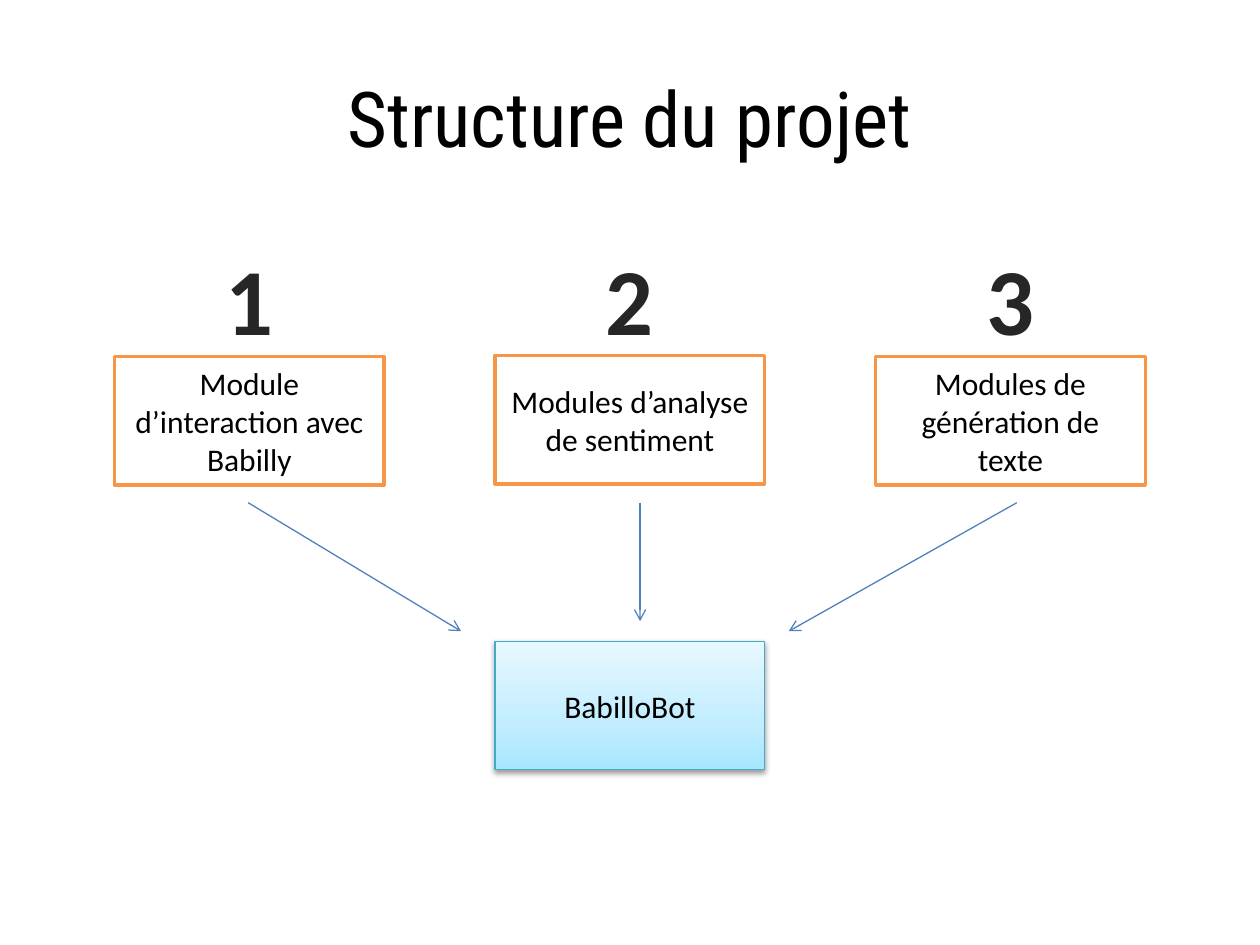
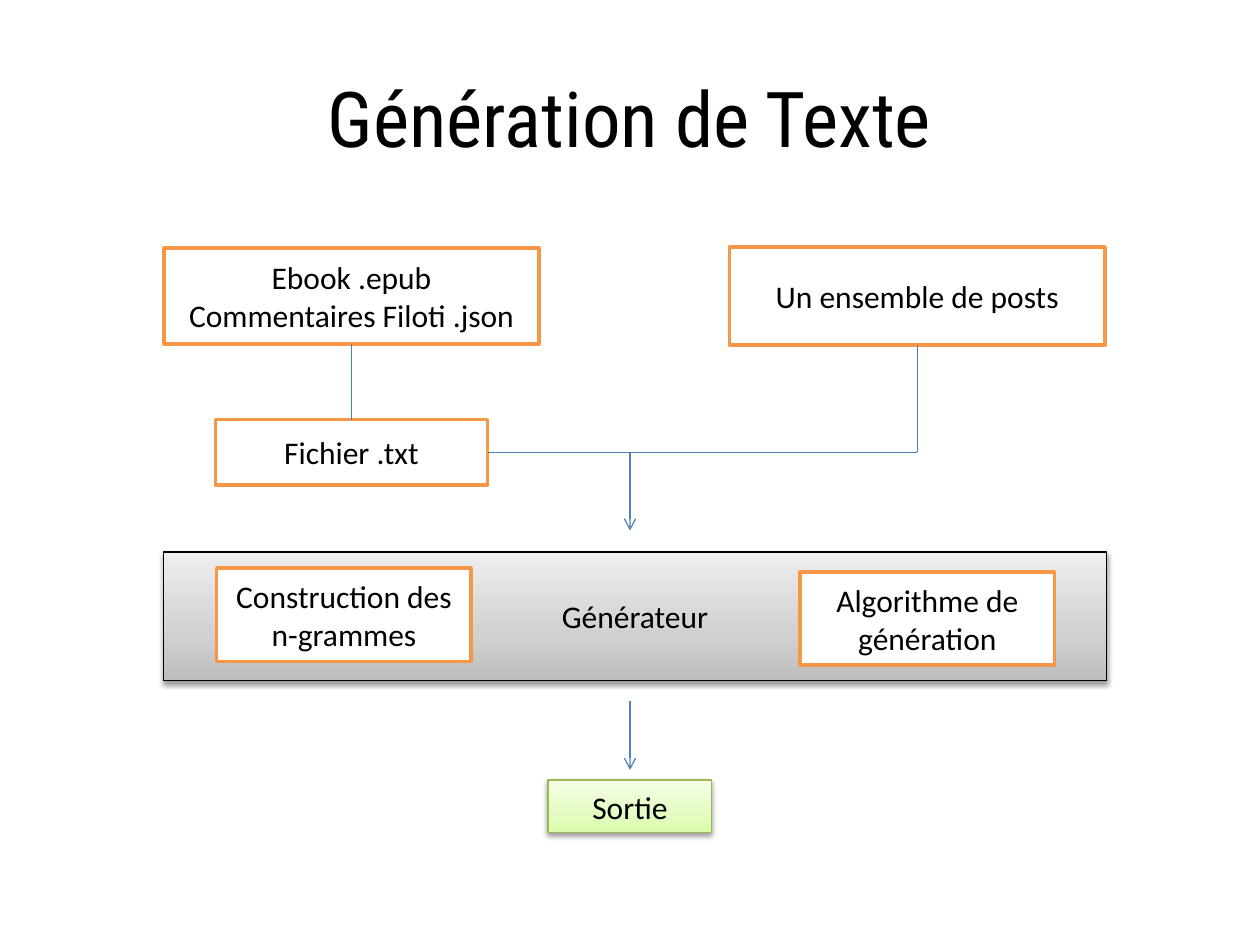
from copy import deepcopy

from lxml.etree import SubElement
from pptx import Presentation
from pptx.dml.color import RGBColor
from pptx.enum.shapes import MSO_CONNECTOR, MSO_SHAPE
from pptx.enum.text import MSO_ANCHOR, MSO_AUTO_SIZE, PP_ALIGN
from pptx.oxml.ns import qn
from pptx.util import Emu, Pt

PX = 9144  # 100 px to the inch
SLIDE_WIDTH, SLIDE_HEIGHT = 1000, 750
CENTER = SLIDE_WIDTH // 2

BLACK = RGBColor(0x00, 0x00, 0x00)
WHITE = RGBColor(0xFF, 0xFF, 0xFF)
DIGIT = RGBColor(0x26, 0x26, 0x26)
ORANGE = RGBColor(0xF7, 0x96, 0x46)
ARROW = RGBColor(0x4F, 0x81, 0xBD)
LINK = RGBColor(0x4B, 0x7E, 0xBC)

# Line colour, then gradient colours from bottom to top
CYAN = (RGBColor(0x46, 0xAA, 0xC5), RGBColor(0xA7, 0xE6, 0xFF),
        RGBColor(0xC1, 0xED, 0xFF), RGBColor(0xE7, 0xF8, 0xFF))
GREY = (BLACK, RGBColor(0xBD, 0xBD, 0xBD),
        RGBColor(0xD1, 0xD1, 0xD1), RGBColor(0xEE, 0xEE, 0xEE))
GREEN = (RGBColor(0x98, 0xB9, 0x55), RGBColor(0xDA, 0xFD, 0xA7),
         RGBColor(0xE4, 0xFC, 0xC2), RGBColor(0xF5, 0xFF, 0xE7))
GRADIENT_POSITIONS = (0, 0.35, 1)

BODY_FONT, TITLE_FONT = "Calibri", "Roboto Condensed"

STRUCTURE_TITLE = "Structure du projet"
MODULES = [  # text, top of the box, start and end of its arrow
    ("Module d’interaction avec Babilly", 283, (197, 399), (366, 501)),
    ("Modules d’analyse de sentiment", 282, (508, 399), (508, 493)),
    ("Modules de génération de texte", 283, (807, 399), (626, 501)),
]
MODULE_WIDTH, MODULE_HEIGHT, MODULE_STEP = 214, 102, 302
BOT = "BabilloBot"

GENERATION_TITLE = "Génération de Texte"
SOURCES = "Ebook .epub\nCommentaires Filoti .json"
MESSAGES = "Un ensemble de posts"
TEXT_FILE = "Fichier .txt"
GENERATOR = "Générateur"
STEPS = [("Construction des n-grammes", 172, 451),
         ("Algorithme de génération", 635, 454)]
OUTPUT = "Sortie"
FLOW_ARROWS = [(359, 421), (556, 611)]


def px(*lengths):
    return [Emu(round(length * PX)) for length in lengths]


def write(shape, text, size=18, font=BODY_FONT, color=BLACK, bold=False,
          anchor=MSO_ANCHOR.MIDDLE, wrap=True):
    frame = shape.text_frame
    frame.word_wrap = wrap
    frame.vertical_anchor = anchor
    frame.text = text
    for paragraph in frame.paragraphs:
        paragraph.alignment = PP_ALIGN.CENTER
        paragraph.font.size = Pt(size)
        paragraph.font.name = font
        paragraph.font.bold = bold
        paragraph.font.color.rgb = color


def add_titled_slide(presentation, title):
    slide = presentation.slides.add_slide(presentation.slide_layouts[6])
    write(slide.shapes.add_textbox(*px(50, 30, 900, 125)), title,
          size=44, font=TITLE_FONT)
    return slide


def add_box(slide, text, left, top, width, height):
    """Add a white box with an orange outline."""
    shape = slide.shapes.add_shape(MSO_SHAPE.RECTANGLE,
                                   *px(left, top, width, height))
    shape.shadow.inherit = False
    shape.fill.solid()
    shape.fill.fore_color.rgb = WHITE
    shape.line.color.rgb = ORANGE
    shape.line.width = Pt(2)
    write(shape, text)
    return shape


def add_gradient_box(slide, text, left, top, width, height, palette):
    """Add a box with a three-colour gradient and a soft shadow."""
    shape = add_box(slide, text, left, top, width, height)
    line_color, *colors = palette
    shape.line.color.rgb = line_color
    shape.line.width = Pt(0.75)

    shape.fill.gradient()
    shape.fill.gradient_angle = 90
    properties = shape.element.spPr
    stop_list = properties.find(qn("a:gradFill")).find(qn("a:gsLst"))
    stop_list.append(deepcopy(stop_list[0]))
    for stop, color, position in zip(shape.fill.gradient_stops, colors,
                                     GRADIENT_POSITIONS):
        stop.color.rgb = color
        stop.position = position

    shadow = SubElement(properties.find(qn("a:effectLst")), qn("a:outerShdw"),
                        blurRad="40000", dist="20000", dir="5400000",
                        rotWithShape="0")
    shadow_color = SubElement(shadow, qn("a:srgbClr"), val=str(BLACK))
    SubElement(shadow_color, qn("a:alpha"), val="38000")


def add_line(slide, start, end, color=LINK, arrow=False):
    connector = slide.shapes.add_connector(MSO_CONNECTOR.STRAIGHT,
                                           *px(*start, *end))
    connector.line.color.rgb = color
    connector.line.width = Pt(0.75)
    if arrow:
        SubElement(connector.line._get_or_add_ln(), qn("a:tailEnd"),
                   type="arrow")
    SubElement(connector.element.spPr, qn("a:effectLst"))
    return connector


def build_structure(presentation):
    slide = add_titled_slide(presentation, STRUCTURE_TITLE)
    for index, (text, top, start, end) in enumerate(MODULES):
        center = CENTER + (index - 1) * MODULE_STEP
        add_box(slide, text, center - MODULE_WIDTH // 2, top,
                MODULE_WIDTH, MODULE_HEIGHT)
        number = slide.shapes.add_textbox(*px(center - 30, 186, 60, 101))
        write(number, str(index + 1), size=54, color=DIGIT, bold=True,
              anchor=MSO_ANCHOR.TOP, wrap=False)
        number.text_frame.auto_size = MSO_AUTO_SIZE.SHAPE_TO_FIT_TEXT
        add_line(slide, start, end, color=ARROW, arrow=True)
    add_gradient_box(slide, BOT, CENTER - MODULE_WIDTH // 2, 509,
                     MODULE_WIDTH, MODULE_HEIGHT, CYAN)


def build_generation(presentation):
    slide = add_titled_slide(presentation, GENERATION_TITLE)
    sources = add_box(slide, SOURCES, 130, 197, 298, 76)
    messages = add_box(slide, MESSAGES, 579, 196, 298, 78)
    text_file = add_box(slide, TEXT_FILE, 171, 333, 216, 52)
    add_gradient_box(slide, GENERATOR, 130, 438, 748, 102, GREY)
    for text, left, top in STEPS:
        add_box(slide, text, left, top, 202, 74)
    add_gradient_box(slide, OUTPUT, 435, 619, 130, 42, GREEN)

    for top, bottom in FLOW_ARROWS:
        add_line(slide, (CENTER, top), (CENTER, bottom), color=ARROW,
                 arrow=True)
    corner = (728, 359)
    add_line(slide, (728, 274), corner).begin_connect(messages, 2)
    add_line(slide, corner, (387, 359)).end_connect(text_file, 3)
    conversion = add_line(slide, (279, 273), (279, 333))
    conversion.begin_connect(sources, 2)
    conversion.end_connect(text_file, 0)


def main():
    presentation = Presentation()
    presentation.slide_width, presentation.slide_height = px(SLIDE_WIDTH,
                                                             SLIDE_HEIGHT)
    build_structure(presentation)
    build_generation(presentation)
    presentation.save("out.pptx")


if __name__ == "__main__":
    main()
